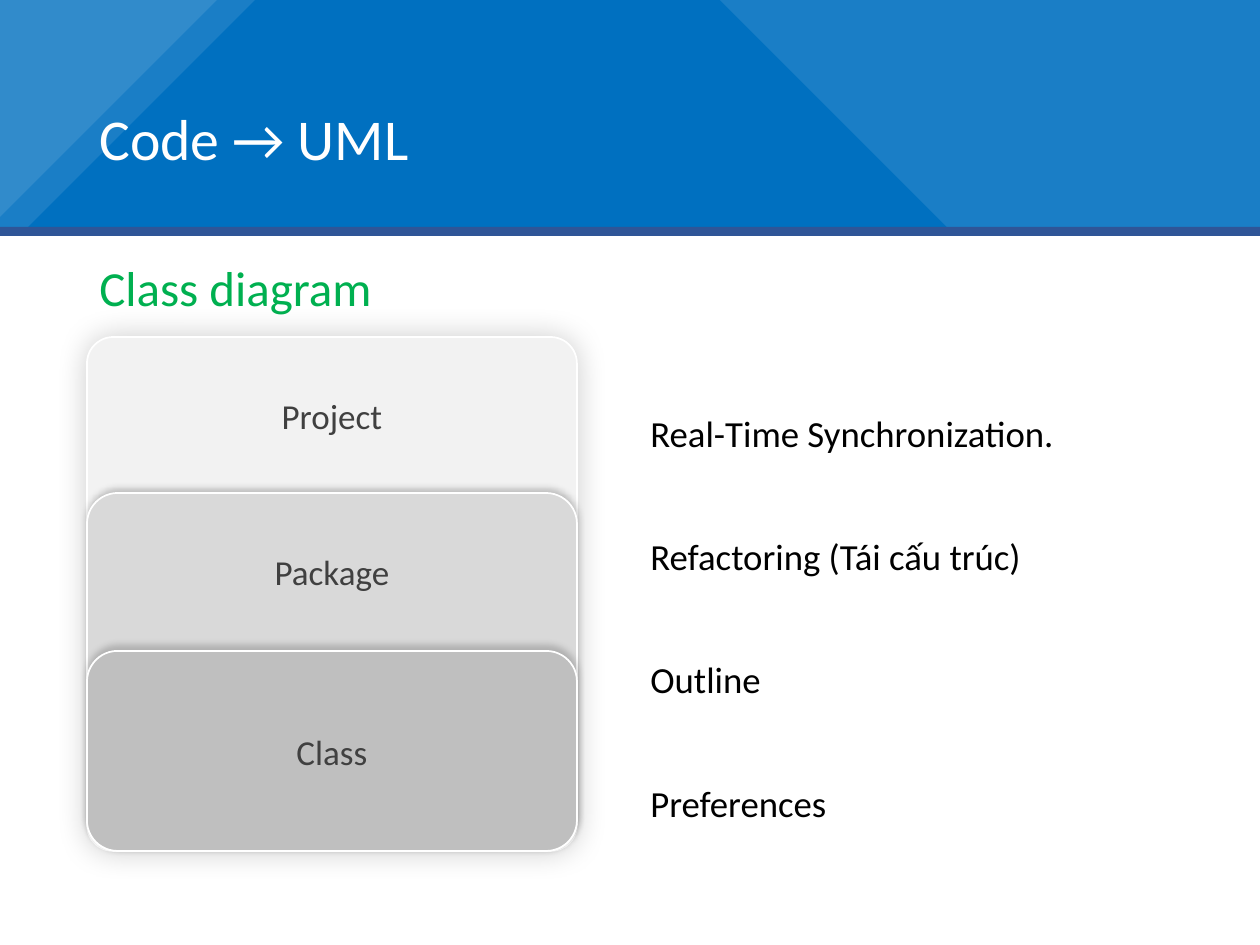
from dataclasses import dataclass
from lxml.etree import SubElement
from pptx import Presentation
from pptx.dml.color import RGBColor as Rgb
from pptx.enum.shapes import MSO_SHAPE as Kind
from pptx.enum.text import MSO_ANCHOR as Anchor, PP_ALIGN as Align
from pptx.oxml.ns import qn
from pptx.util import Emu, Pt

SCALE = 914400 // 126


@dataclass(frozen=True)
class Theme:
    font: str = "Calibri"
    blue: str = "0070C0"
    navy: str = "2F5597"
    white: str = "FFFFFF"
    green: str = "00B050"
    gray: str = "404040"
    black: str = "000000"
    title: int = 33
    head: int = 28
    item: int = 21
    label: int = 20


@dataclass(frozen=True)
class Layer:
    name: str
    top: int
    label: int
    fill: str
    adj: float
    alpha: int
    blur: int
    dist: int


THEME = Theme()
LEFT, BASE, WIDTH = 87, 851, 490
HEAD = 227
BANDS = (
    ((0, 0), (217, 0), (0, 217)),
    ((0, 0), (255, 0), (28, HEAD), (0, HEAD)),
    ((720, 0), (1260, 0), (1260, HEAD), (947, HEAD)),
)
LAYERS = (
    Layer("Project", 337, 388, "F2F2F2", 0.054, 20, 18, 0),
    Layer("Package", 493, 544, "D9D9D9", 0.086, 23, 4, 2),
    Layer("Class", 651, 724, "BFBFBF", 0.153, 18, 4, 3),
)
ITEMS = ("Real-Time Synchronization.", "Refactoring (Tái cấu trúc)",
         "Outline", "Preferences")

deck = Presentation()
deck.slide_width, deck.slide_height = Emu(1260 * SCALE), Emu(945 * SCALE)
slide = deck.slides.add_slide(deck.slide_layouts[6])
shapes = slide.shapes


def px(*nums: int) -> list[Emu]:
    return [Emu(num * SCALE) for num in nums]


def paint(shape, color: str) -> None:
    shape.shadow.inherit = False
    shape.fill.solid()
    shape.fill.fore_color.rgb = Rgb.from_string(color)
    shape.line.fill.background()


def fade(node, alpha: int) -> None:
    SubElement(node, qn("a:alpha"), val=str(alpha * 1000))


def block(box: tuple[int, ...], color: str, kind=Kind.RECTANGLE):
    shape = shapes.add_shape(kind, *px(*box))
    paint(shape, color)
    return shape


def band(points: tuple[tuple[int, int], ...]) -> None:
    pen = shapes.build_freeform(*points[0], scale=SCALE)
    pen.add_line_segments(points[1:], close=True)
    shape = pen.convert_to_shape()
    paint(shape, THEME.white)
    fade(shape.element.spPr.find(qn("a:solidFill"))[0], 10)


def write(box: tuple[int, ...], *lines: str, size: int, color: str,
          align=Align.LEFT, anchor=Anchor.TOP,
          lead: float = 1.0, before: float = 0) -> None:
    frame = shapes.add_textbox(*px(*box)).text_frame
    frame.word_wrap = True
    frame.vertical_anchor = anchor
    for i, line in enumerate(lines):
        para = frame.add_paragraph() if i else frame.paragraphs[0]
        para.alignment, para.line_spacing = align, lead
        para.space_before = Pt(before)
        run = para.add_run()
        run.text = line
        run.font.name, run.font.size = THEME.font, Pt(size)
        run.font.color.rgb = Rgb.from_string(color)


def stack(layer: Layer) -> None:
    shape = block((LEFT, layer.top, WIDTH, BASE - layer.top), layer.fill,
                  Kind.ROUNDED_RECTANGLE)
    shape.adjustments[0] = layer.adj
    shape.line.color.rgb = Rgb.from_string(THEME.white)
    shape.line.width = Pt(1)
    glow = SubElement(shape.element.spPr.find(qn("a:effectLst")),
                      qn("a:outerShdw"), blurRad=str(Pt(layer.blur)),
                      dist=str(Pt(layer.dist)), dir="16200000",
                      algn="ctr", rotWithShape="0")
    fade(SubElement(glow, qn("a:srgbClr"), val=THEME.black), layer.alpha)
    write((261, layer.label, 142, 55), layer.name, size=THEME.label,
          color=THEME.gray, align=Align.CENTER)


block((0, 0, 1260, HEAD), THEME.blue)
for points in BANDS:
    band(points)
block((0, HEAD, 1260, 9), THEME.navy)
write((LEFT, 50, 1086, 183), "Code → UML", size=THEME.title,
      color=THEME.white, anchor=Anchor.MIDDLE, lead=0.9)
write((LEFT, 258, 1086, 71), "Class diagram", size=THEME.head,
      color=THEME.green, lead=0.9, before=7.5)
for layer in LAYERS:
    stack(layer)
write((638, 338, 535, 514), *ITEMS, size=THEME.item,
      color=THEME.black, lead=2.5, before=7.5)
deck.save("out.pptx")
